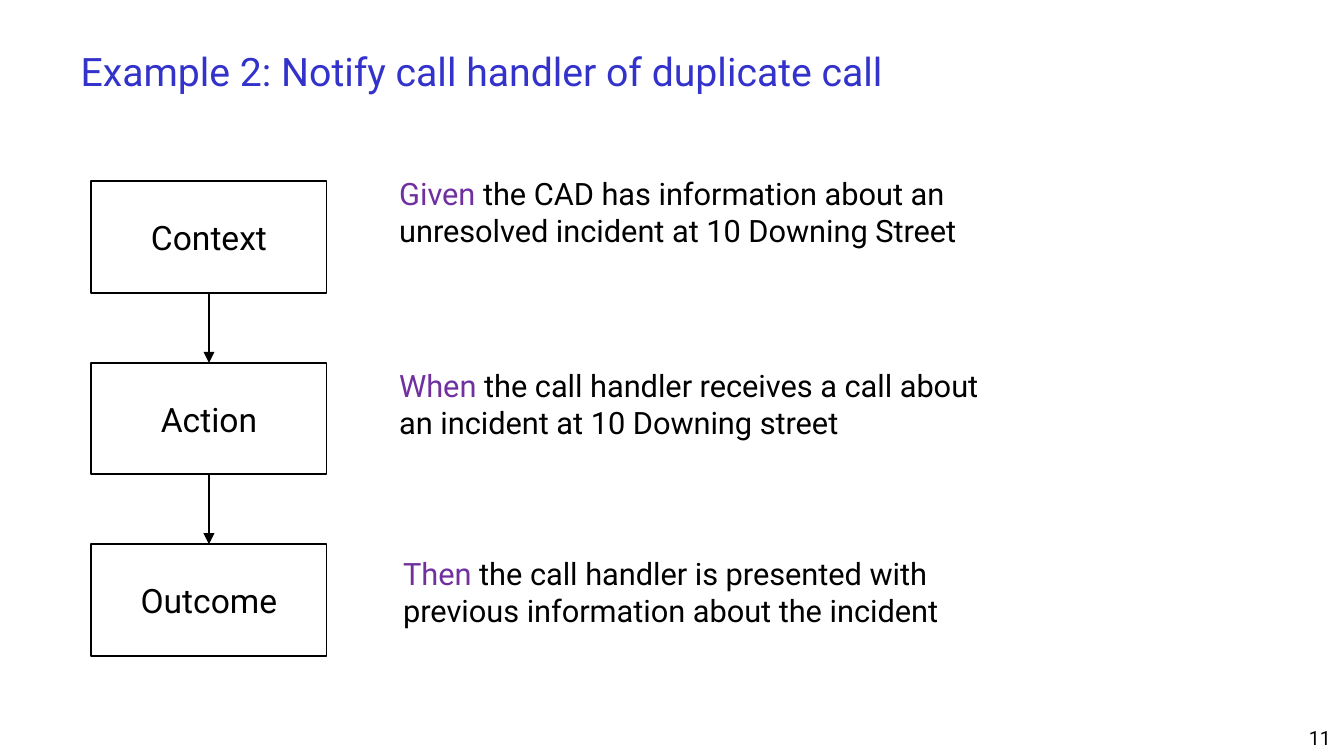
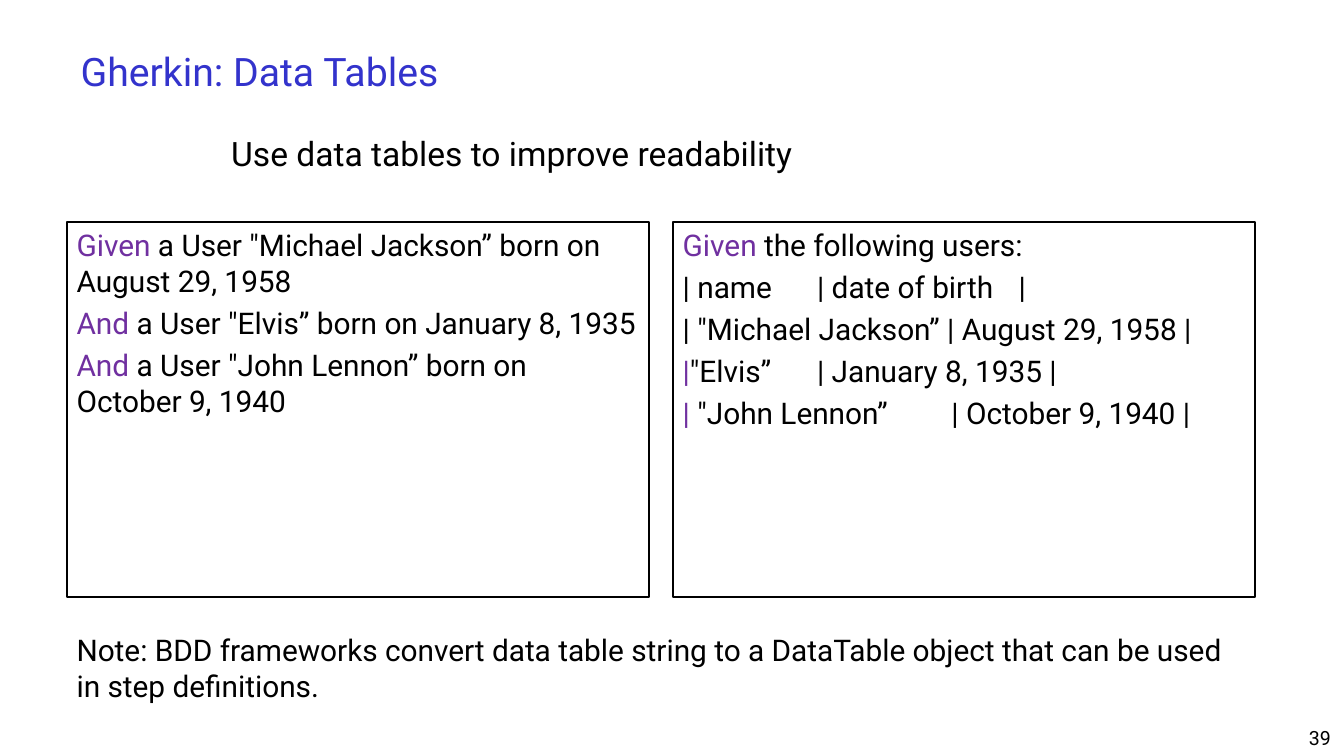
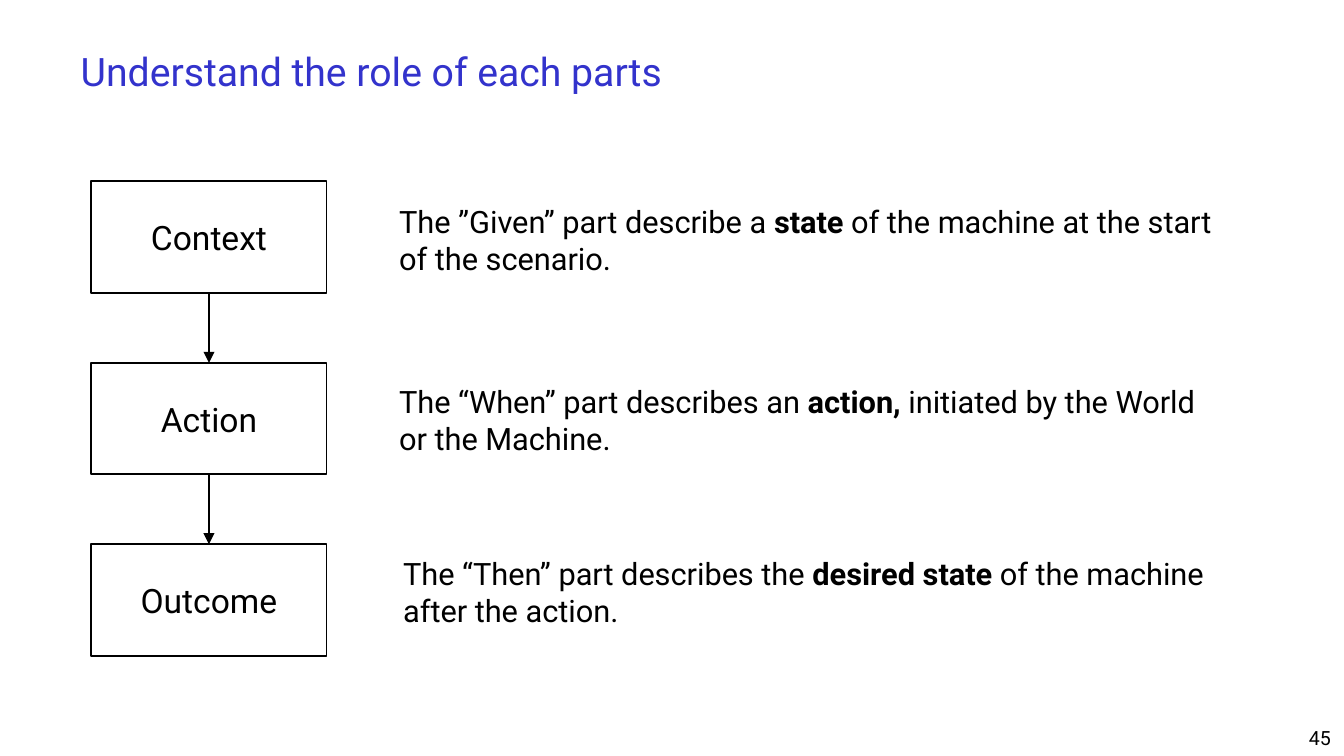
"""Build three slides on behaviour scenarios and Gherkin data tables."""
from dataclasses import dataclass
from itertools import pairwise
from typing import NamedTuple

from lxml import etree
from pptx import Presentation
from pptx.dml.color import RGBColor
from pptx.enum.shapes import MSO_CONNECTOR, MSO_SHAPE
from pptx.enum.text import MSO_ANCHOR, MSO_AUTO_SIZE, PP_ALIGN
from pptx.oxml.ns import qn
from pptx.util import Inches, Pt

RECTANGLE = MSO_SHAPE.RECTANGLE
STRAIGHT = MSO_CONNECTOR.STRAIGHT
TOP, MIDDLE = MSO_ANCHOR.TOP, MSO_ANCHOR.MIDDLE
LEFT, CENTER, RIGHT = PP_ALIGN.LEFT, PP_ALIGN.CENTER, PP_ALIGN.RIGHT
NO_AUTOFIT = MSO_AUTO_SIZE.NONE
TOP_SIDE, BOTTOM_SIDE = 0, 2

SLIDE_WIDTH, SLIDE_HEIGHT = Inches(10), Inches(5.625)
CELL = SLIDE_WIDTH // 100
FONT = "Roboto"
COLORS = {"title": "3333CC", "keyword": "7030A0", "text": "000000", "paper": "FFFFFF"}
WIDE_MARGINS = (0.1, 0.05)
NARROW_MARGINS = (0.07, 0.04)


class Area(NamedTuple):
    """A rectangle in grid columns and rows."""
    left: float
    top: float
    width: float
    height: float

    def lengths(self) -> list[int]:
        """Return the four lengths on the slide."""
        return [round(cells * CELL) for cells in self]


class Span(NamedTuple):
    """A stretch of text with one colour and weight."""
    text: str
    color: str = "text"
    bold: bool = False


class Line(NamedTuple):
    """A paragraph made of spans, with tab stops in inches."""
    spans: list[Span]
    tabs: tuple[float, ...] = ()


@dataclass
class TextStyle:
    """The look of a block of text."""
    size: float
    align: PP_ALIGN = LEFT
    anchor: MSO_ANCHOR = TOP
    margins: tuple[float, float] = WIDE_MARGINS
    space_share: float = 0


@dataclass
class Statement:
    """The words beside one step of the scenario."""
    area: Area
    spans: list[Span]


@dataclass
class FlowSlide:
    """A slide that explains the three scenario steps."""
    title: str
    number: int
    statements: list[Statement]


TITLE_AREA = Area(5, 2.5, 90, 5.6)
NUMBER_AREA = Area(79.2, 53.5, 20.8, 2.7)
STEP_AREA = Area(6.8, 13.5, 17.5, 8.3)
STEP_PITCH = 13.5
STEPS = ["Context", "Action", "Outcome"]
STATEMENT_LEFT = 29
PANEL_AREA = Area(5, 16.5, 43.3, 27.9)
PANEL_PITCH = 45.1

TITLE_STYLE = TextStyle(21, anchor=MIDDLE)
NUMBER_STYLE = TextStyle(10.5, align=RIGHT)
STEP_STYLE = TextStyle(18, align=CENTER, anchor=MIDDLE)
LEAD_STYLE = TextStyle(18, space_share=0.2)
BODY_STYLE = TextStyle(16.5, space_share=0.2)
STATEMENT_STYLE = TextStyle(16.5, margins=NARROW_MARGINS, space_share=0.2)
PANEL_STYLE = TextStyle(16, margins=NARROW_MARGINS, space_share=0.2)


def keyword_line(keyword: str, rest: str, *tabs: float) -> Line:
    """Return a line that opens with a coloured keyword."""
    return Line([Span(keyword, "keyword"), Span(rest)], tabs)


def stressed(before: str, stress: str, after: str) -> list[Span]:
    """Return spans with a bold part in the middle."""
    return [Span(before), Span(stress, bold=True), Span(after)]


SCENARIO = FlowSlide("Example 2: Notify call handler of duplicate call", 11, [
    Statement(Area(STATEMENT_LEFT, 12.6, 44.5, 8.3), keyword_line(
        "Given", " the CAD has information about an unresolved incident at 10 Downing Street").spans),
    Statement(Area(STATEMENT_LEFT, 26.9, 44.5, 5.6), keyword_line(
        "When", " the call handler receives a call about an incident at 10 Downing street").spans),
    Statement(Area(STATEMENT_LEFT, 40.8, 45.9, 8.3), keyword_line(
        "Then ", "the call handler is presented with previous information about the incident").spans),
])
ROLES = FlowSlide("Understand the role of each parts", 45, [
    Statement(Area(STATEMENT_LEFT, 14.7, 62.8, 5.6), stressed(
        "The ”Given” part describe a ", "state", " of the machine at the start of the scenario.")),
    Statement(Area(STATEMENT_LEFT, 28.1, 61.6, 5.6), stressed(
        "The “When” part describes an ", "action, ", "initiated by the World or the Machine.")),
    Statement(Area(STATEMENT_LEFT, 40.8, 62.8, 8.3), stressed(
        "The “Then” part describes the ", "desired state ", "of the machine after the action.")),
])
PANELS = [
    [
        keyword_line("Given", " a User \"Michael Jackson” born on August 29, 1958"),
        keyword_line("And", " a User \"Elvis” born on January 8, 1935"),
        keyword_line("And", " a User \"John Lennon” born on October 9, 1940"),
    ],
    [
        keyword_line("Given", " the following users:"),
        Line([Span("| name\t| date of birth\t|")], (1.76, 3.35)),
        Line([Span("| \"Michael Jackson” | August 29, 1958 |")]),
        keyword_line("|", "\"Elvis”\t| January 8, 1935 |", 1.7),
        keyword_line("| ", "\"John Lennon”\t| October 9, 1940 |", 1.85),
    ],
]


def color(name: str) -> RGBColor:
    """Return a named colour."""
    return RGBColor.from_string(COLORS[name])


def write_text(shape, lines: list[Line], style: TextStyle) -> None:
    """Fill a shape with formatted lines."""
    frame = shape.text_frame
    frame.word_wrap = True
    frame.auto_size = NO_AUTOFIT
    frame.vertical_anchor = style.anchor
    frame.margin_left = frame.margin_right = Inches(style.margins[0])
    frame.margin_top = frame.margin_bottom = Inches(style.margins[1])
    for index, line in enumerate(lines):
        paragraph = frame.add_paragraph() if index else frame.paragraphs[0]
        paragraph.alignment = style.align
        paragraph.space_before = Pt(style.size * style.space_share)
        properties = paragraph._p.get_or_add_pPr()
        properties.set("marL", "0")
        properties.set("indent", "0")
        etree.SubElement(properties, qn("a:buNone"))
        if line.tabs:
            tab_list = etree.SubElement(properties, qn("a:tabLst"))
            for position in line.tabs:
                etree.SubElement(tab_list, qn("a:tab"), pos=str(Inches(position)), algn="l")
        paragraph.font.name = FONT
        paragraph.font.size = Pt(style.size)
        for span in line.spans:
            run = paragraph.add_run()
            run.text = span.text
            run.font.color.rgb = color(span.color)
            if span.bold:
                run.font.bold = True


def fill_placeholder(shape, area: Area, spans: list[Span], style: TextStyle) -> None:
    """Move a placeholder and write one line in it."""
    shape.left, shape.top, shape.width, shape.height = area.lengths()
    write_text(shape, [Line(spans)], style)


def add_text(slide, area: Area, spans: list[Span], style: TextStyle) -> None:
    """Add a text box with one line."""
    write_text(slide.shapes.add_textbox(*area.lengths()), [Line(spans)], style)


def add_box(slide, area: Area, lines: list[Line], style: TextStyle):
    """Add an outlined white rectangle with text."""
    box = slide.shapes.add_shape(RECTANGLE, *area.lengths())
    box.shadow.inherit = False
    box.fill.solid()
    box.fill.fore_color.rgb = color("paper")
    box.line.color.rgb = color("text")
    box.line.width = Pt(1)
    write_text(box, lines, style)
    return box


def add_arrow(slide, upper, lower) -> None:
    """Join two stacked boxes with an arrow."""
    arrow = slide.shapes.add_connector(STRAIGHT, 0, 0, 0, 0)
    arrow.begin_connect(upper, BOTTOM_SIDE)
    arrow.end_connect(lower, TOP_SIDE)
    arrow.line.color.rgb = color("text")
    arrow.line.width = Pt(1)
    etree.SubElement(arrow.line._get_or_add_ln(), qn("a:tailEnd"), type="triangle")
    etree.SubElement(arrow._element.spPr, qn("a:effectLst"))


def add_slide(presentation, title: str, number: int):
    """Add a slide with its title and page number."""
    slide = presentation.slides.add_slide(presentation.slide_layouts[1])
    fill_placeholder(slide.shapes.title, TITLE_AREA, [Span(title, "title")], TITLE_STYLE)
    add_text(slide, NUMBER_AREA, [Span(str(number))], NUMBER_STYLE)
    return slide


def add_flow_slide(presentation, content: FlowSlide) -> None:
    """Add a slide with the step column and its statements."""
    slide = add_slide(presentation, content.title, content.number)
    *statements, outcome = content.statements
    fill_placeholder(slide.placeholders[1], outcome.area, outcome.spans, BODY_STYLE)
    boxes = [
        add_box(slide, STEP_AREA._replace(top=STEP_AREA.top + index * STEP_PITCH),
                [Line([Span(step)])], STEP_STYLE)
        for index, step in enumerate(STEPS)
    ]
    for upper, lower in pairwise(boxes):
        add_arrow(slide, upper, lower)
    for statement in statements:
        add_text(slide, statement.area, statement.spans, STATEMENT_STYLE)


def add_data_tables_slide(presentation) -> None:
    """Add the slide that compares two ways to list users."""
    slide = add_slide(presentation, "Gherkin: Data Tables", 39)
    fill_placeholder(slide.placeholders[1], Area(16.2, 9.4, 67.5, 4.7),
                     [Span("Use data tables to improve readability")], LEAD_STYLE)
    for index, lines in enumerate(PANELS):
        area = PANEL_AREA._replace(left=PANEL_AREA.left + index * PANEL_PITCH)
        add_box(slide, area, lines, PANEL_STYLE)
    note = ("Note: BDD frameworks convert data table string to a DataTable object "
            "that can be used in step definitions.")
    add_text(slide, Area(5, 46.6, 88.4, 6.9), [Span(note)], PANEL_STYLE)


def main() -> None:
    """Build and save the presentation."""
    presentation = Presentation()
    presentation.slide_width, presentation.slide_height = SLIDE_WIDTH, SLIDE_HEIGHT
    add_flow_slide(presentation, SCENARIO)
    add_data_tables_slide(presentation)
    add_flow_slide(presentation, ROLES)
    presentation.save("out.pptx")


if __name__ == "__main__":
    main()
